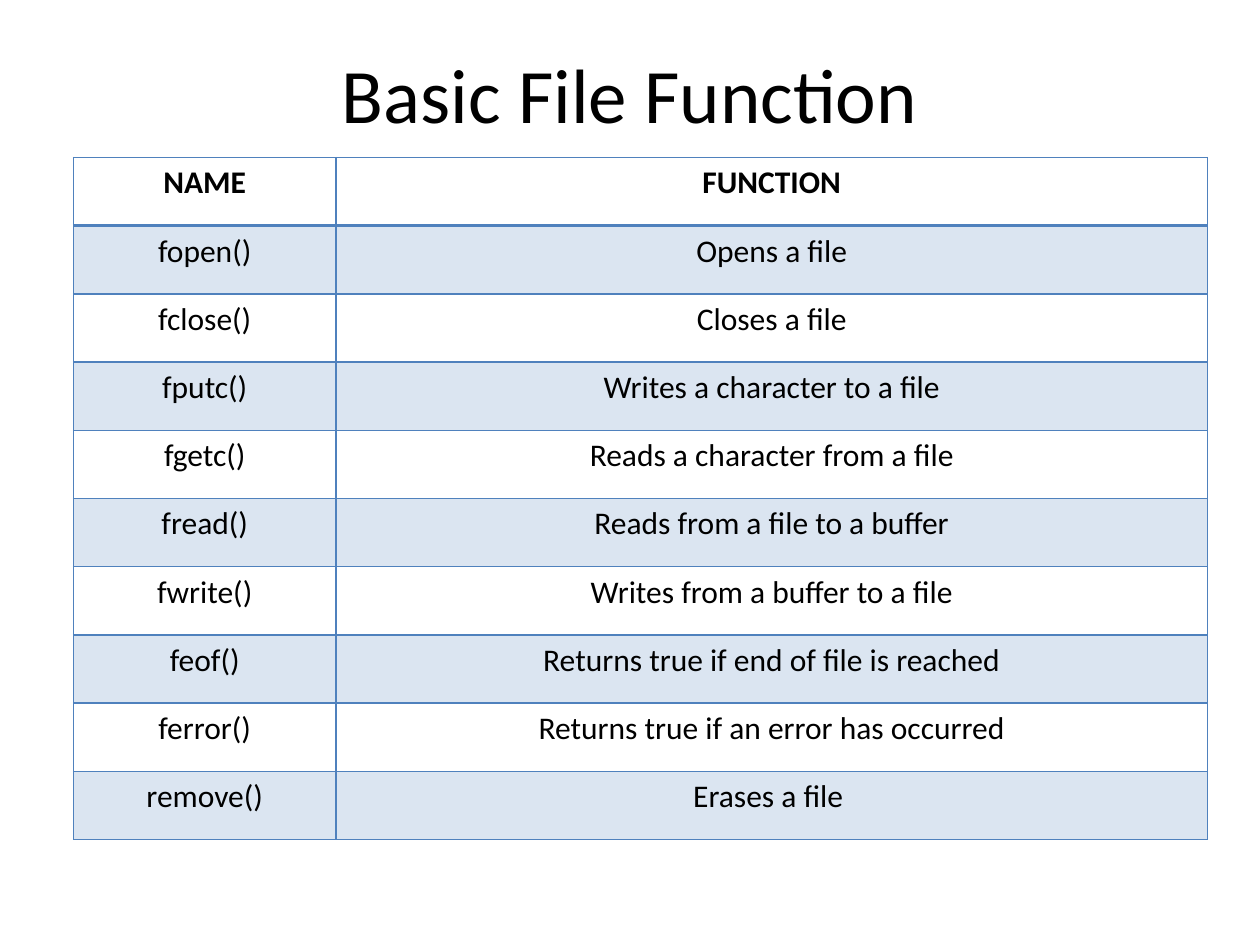
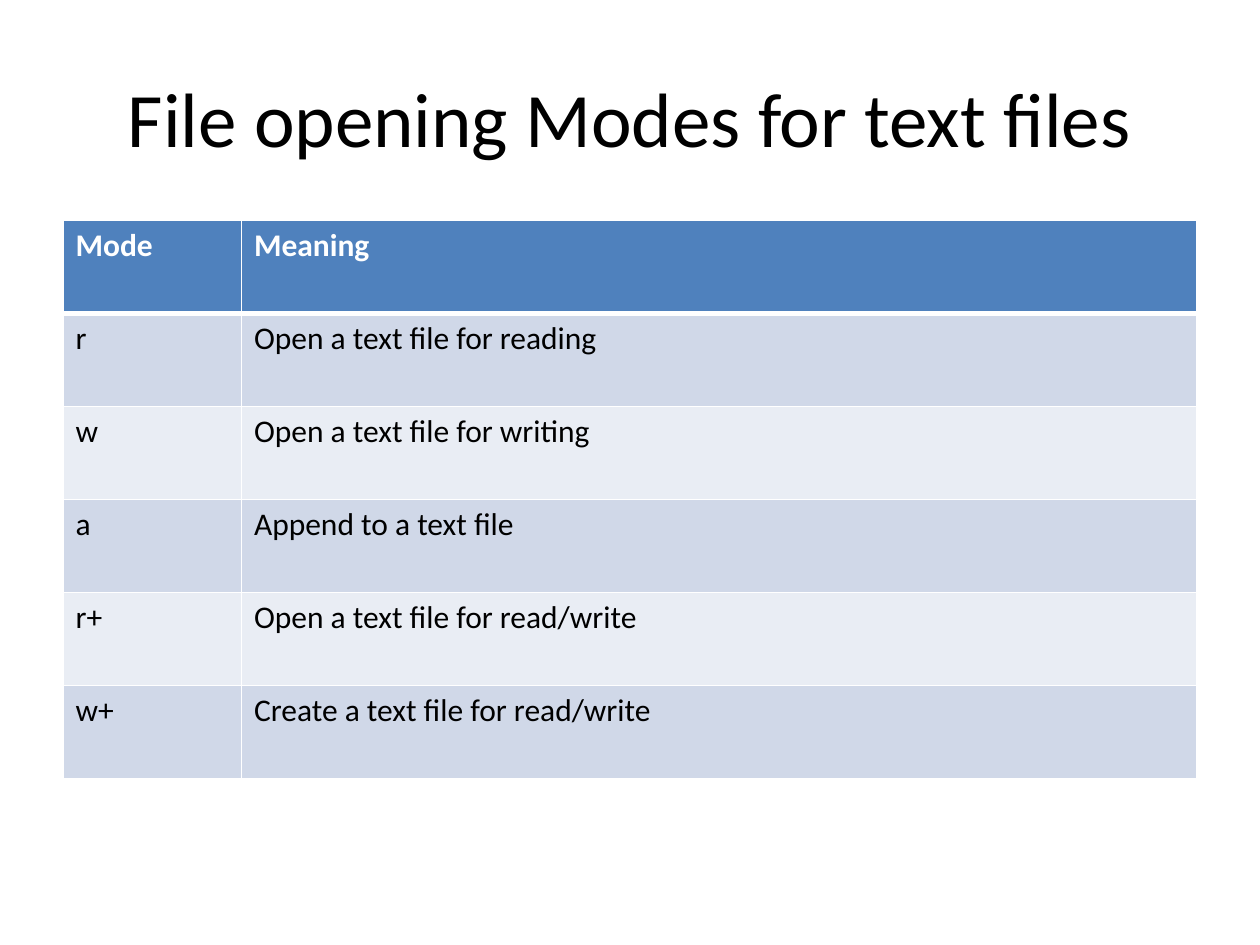
from dataclasses import dataclass
from typing import Optional

from lxml.etree import SubElement
from pptx import Presentation
from pptx.dml.color import RGBColor
from pptx.enum.text import MSO_ANCHOR, PP_ALIGN
from pptx.oxml import parse_xml
from pptx.oxml.ns import nsdecls, qn
from pptx.util import Pt

FONT = "Calibri"
TITLE_SIZE, CELL_SIZE = 44, 18
TITLE_LEFT, TITLE_TOP, TITLE_WIDTH = 36, 21.6, 648
TITLE_ONLY = 5
COLORS = {
    "text": "000000",
    "white": "FFFFFF",
    "accent": "4F81BD",
    "band_dark": "D0D8E8",
    "band_light": "E9EDF4",
}


@dataclass(frozen=True)
class Fill:
    """A cell fill: a colour name and its opacity in percent."""
    color: str
    opacity: int = 100


@dataclass(frozen=True)
class TableStyle:
    """The look of a table: fills, borders and alignment."""
    header_fill: Optional[Fill]
    header_text: str
    bands: tuple[Optional[Fill], Optional[Fill]]
    border: str
    header_rule: float
    align: PP_ALIGN


@dataclass(frozen=True)
class TableSlide:
    """A slide with a title above one table; lengths in points."""
    title: str
    title_height: float
    left: float
    top: float
    col_widths: tuple[float, ...]
    row_height: float
    style: TableStyle
    rows: tuple[tuple[str, ...], ...]


OUTLINED = TableStyle(None, "text", (Fill("accent", 20), None),
                      "accent", 2, PP_ALIGN.CENTER)
BANDED = TableStyle(Fill("accent"), "white",
                    (Fill("band_dark"), Fill("band_light")),
                    "white", 3, PP_ALIGN.LEFT)

SLIDES = (
    TableSlide(
        "Basic File Function", 62.4, 42, 90, (150, 498), 39, OUTLINED,
        (
            ("NAME", "FUNCTION"),
            ("fopen()", "Opens a file"),
            ("fclose()", "Closes a file"),
            ("fputc()", "Writes a character to a file"),
            ("fgetc()", "Reads a character from a file"),
            ("fread()", "Reads from a file to a buffer"),
            ("fwrite()", "Writes from a buffer to a file"),
            ("feof()", "Returns true if end of file is reached"),
            ("ferror()", "Returns true if an error has occurred"),
            ("remove()", "Erases a file "),
        ),
    ),
    TableSlide(
        "File opening Modes for text files", 90, 36, 126, (102, 546), 53.17, BANDED,
        (
            ("Mode", "Meaning"),
            ("r", "Open a text file for reading"),
            ("w", "Open a text file for writing"),
            ("a", "Append to a text file"),
            ("r+", "Open a text file for read/write"),
            ("w+", "Create a text file for read/write"),
        ),
    ),
)


def add_text(tf, text: str, size: float, color: str, align: PP_ALIGN,
             bold: bool = False) -> None:
    """Write one formatted run into the first paragraph of a text frame."""
    p = tf.paragraphs[0]
    p.alignment = align
    r = p.add_run()
    r.text = text
    r.font.name = FONT
    r.font.size = Pt(size)
    r.font.bold = bold
    r.font.color.rgb = RGBColor.from_string(COLORS[color])


def fill_cell(cell, fill: Optional[Fill]) -> None:
    """Give a cell a solid, see-through or empty fill."""
    if fill is None:
        cell.fill.background()
        return
    cell.fill.solid()
    cell.fill.fore_color.rgb = RGBColor.from_string(COLORS[fill.color])
    if fill.opacity < 100:
        clr = cell._tc.tcPr.find(".//" + qn("a:srgbClr"))
        SubElement(clr, qn("a:alpha"), val=str(fill.opacity * 1000))


def set_borders(cell, color: str, top: float, bottom: float) -> None:
    """Draw the four borders of a cell; the sides are 1 pt wide."""
    tc_pr = cell._tc.get_or_add_tcPr()
    widths = {"lnL": 1, "lnR": 1, "lnT": top, "lnB": bottom}
    for i, (tag, width) in enumerate(widths.items()):
        tc_pr.insert(i, parse_xml(
            f'<a:{tag} {nsdecls("a")} w="{Pt(width)}"><a:solidFill>'
            f'<a:srgbClr val="{COLORS[color]}"/></a:solidFill></a:{tag}>'))


def add_title(slide, spec: TableSlide) -> None:
    """Place and fill the title placeholder."""
    sp = slide.shapes.title
    sp.left, sp.top = Pt(TITLE_LEFT), Pt(TITLE_TOP)
    sp.width, sp.height = Pt(TITLE_WIDTH), Pt(spec.title_height)
    sp.text_frame.vertical_anchor = MSO_ANCHOR.MIDDLE
    add_text(sp.text_frame, spec.title, TITLE_SIZE, "text", PP_ALIGN.CENTER)


def add_table(slide, spec: TableSlide) -> None:
    """Build the table with its header row and alternating bands."""
    style, n_rows = spec.style, len(spec.rows)
    table = slide.shapes.add_table(
        n_rows, len(spec.col_widths), Pt(spec.left), Pt(spec.top),
        Pt(sum(spec.col_widths)), Pt(spec.row_height * n_rows)).table
    table.first_row = table.horz_banding = False
    for col, width in zip(table.columns, spec.col_widths):
        col.width = Pt(width)
    for i, texts in enumerate(spec.rows):
        table.rows[i].height = Pt(spec.row_height)
        header = i == 0
        fill = style.header_fill if header else style.bands[(i - 1) % 2]
        color = style.header_text if header else "text"
        top = style.header_rule if i == 1 else 1
        bottom = style.header_rule if header else 1
        for j, text in enumerate(texts):
            cell = table.cell(i, j)
            add_text(cell.text_frame, text, CELL_SIZE, color, style.align, header)
            fill_cell(cell, fill)
            set_borders(cell, style.border, top, bottom)


def main() -> None:
    """Build and save the presentation."""
    prs = Presentation()
    prs.slide_width, prs.slide_height = Pt(720), Pt(540)
    for spec in SLIDES:
        slide = prs.slides.add_slide(prs.slide_layouts[TITLE_ONLY])
        add_title(slide, spec)
        add_table(slide, spec)
    prs.save("out.pptx")


main()
